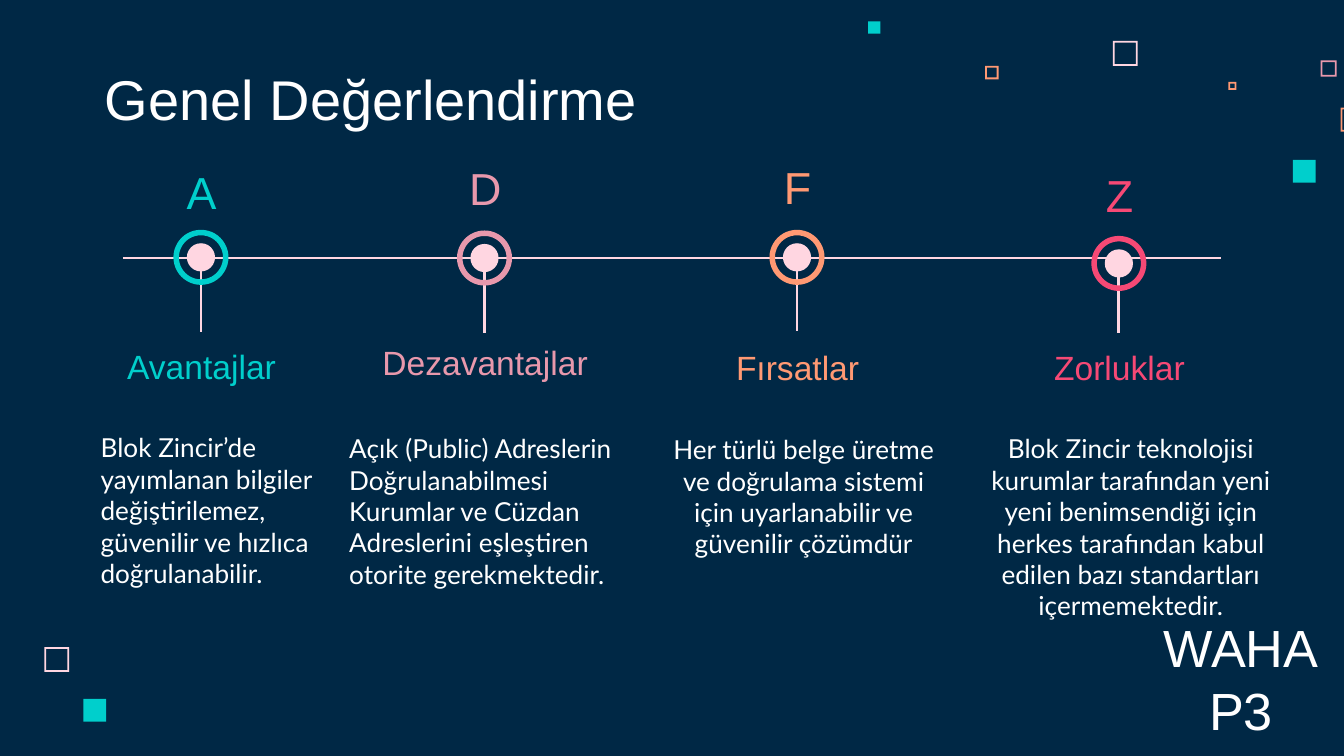
from collections import namedtuple

from lxml.etree import SubElement
from pptx import Presentation
from pptx.dml.color import RGBColor
from pptx.enum.shapes import MSO_CONNECTOR as LINE, MSO_SHAPE as SHAPE
from pptx.enum.text import MSO_ANCHOR as ANCHOR, MSO_AUTO_SIZE as AUTO, PP_ALIGN as ALIGN
from pptx.oxml.ns import qn
from pptx.util import Inches, Pt

CELL = 0.1  # inches; the slide is a grid of 100 columns by 56.25 rows
COLS, ROWS = 100, 56.25
NAVY, WHITE, PINK = "002845", "FFFFFF", "FFD6E1"
TEAL, ROSE, ORANGE, RED = "00CFCC", "E898AC", "FF9973", "F64975"
TOP, MIDDLE, BOTTOM = ANCHOR.TOP, ANCHOR.MIDDLE, ANCHOR.BOTTOM
LEFT, CENTER = ALIGN.LEFT, ALIGN.CENTER


def grid(*cells):
    return [Inches(c * CELL) for c in cells]


def rgb(color):
    return RGBColor.from_string(color)


def write(sp, text, size, color=WHITE, font="Arial", align=LEFT, anchor=TOP):
    tf = sp.text_frame
    tf.word_wrap = True
    tf.auto_size = AUTO.NONE
    tf.vertical_anchor = anchor
    tf.margin_left = tf.margin_right = tf.margin_top = tf.margin_bottom = Inches(0.1)
    p = tf.paragraphs[0]
    p.alignment = align
    p.space_before = Pt(0)
    r = p.add_run()
    r.text = text
    r.font.size, r.font.name = Pt(size), font
    r.font.color.rgb = rgb(color)


class Deck:
    """Holds the presentation style and the current slide."""

    def __init__(self):
        self.prs = Presentation()
        self.prs.slide_width, self.prs.slide_height = grid(COLS, ROWS)

    def add_slide(self):
        self.s = self.prs.slides.add_slide(self.prs.slide_layouts[5])
        fill = self.s.background.fill
        fill.solid()
        fill.fore_color.rgb = rgb(NAVY)

    def title(self, box, text, **fmt):
        sp = self.s.shapes.title
        sp.left, sp.top, sp.width, sp.height = grid(*box)
        write(sp, text, **fmt)

    def text(self, box, text, **fmt):
        write(self.s.shapes.add_textbox(*grid(*box)), text, **fmt)

    def shape(self, kind, box, color, thickness=None, parent=None):
        sp = (parent or self.s).shapes.add_shape(kind, *grid(*box))
        sp.shadow.inherit = False
        sp.fill.solid()
        sp.fill.fore_color.rgb = rgb(color)
        sp.line.fill.background()
        if thickness:
            sp.adjustments[0] = thickness

    def line(self, x1, y1, x2, y2):
        c = self.s.shapes.add_connector(LINE.STRAIGHT, *grid(x1, y1, x2, y2))
        c.line.color.rgb = rgb(PINK)
        c.line.width = Pt(1.5)
        SubElement(c._element.spPr, qn("a:effectLst"))

    def marker(self, x, y, color):
        """Dot inside a ring, centred on x, y."""
        group = self.s.shapes.add_group_shape()
        for kind, d, c, thickness in ((SHAPE.OVAL, 2.1, PINK, None),
                                      (SHAPE.DONUT, 4.1, color, 0.1)):
            self.shape(kind, (x - d / 2, y - d / 2, d, d), c, thickness, group)


# left, top, side, colour
FRAMES = [
    (82.8, 3.05, 1.85, PINK), (98.25, 4.5, 1.2, ROSE), (91.4, 6.1, 0.6, ORANGE),
    (99.75, 8, 1.8, ORANGE), (73.3, 4.9, 1, ORANGE), (3.3, 48.15, 1.85, PINK),
]
SQUARES = [(96.2, 11.9, 1.7), (64.6, 1.6, 0.9), (6.2, 52, 1.7)]

Topic = namedtuple("Topic", "letter name color x letter_y y stem_end "
                            "name_y name_anchor box align anchor body")
TOPICS = [
    Topic("A", "Avantajlar", TEAL, 14.95, 11.9, 19.15, 24.7, 24.75, TOP,
          (6.5, 32, 18.8, 12.8), LEFT, BOTTOM,
          "Blok Zincir’de yayımlanan bilgiler değiştirilemez, güvenilir ve "
          "hızlıca doğrulanabilir."),
    Topic("D", "Dezavantajlar", ROSE, 36.05, 11.6, 19.2, 24.8, 24.75, BOTTOM,
          (25, 31.2, 23.1, 13.7), LEFT, TOP,
          "Açık (Public) Adreslerin Doğrulanabilmesi Kurumlar ve Cüzdan "
          "Adreslerini eşleştiren otorite gerekmektedir."),
    Topic("F", "Fırsatlar", ORANGE, 59.3, 11.5, 19.15, 24.6, 24.8, TOP,
          (48.25, 32.7, 23.1, 9.9), CENTER, BOTTOM,
          "Her türlü belge üretme ve doğrulama sistemi için uyarlanabilir ve "
          "güvenilir çözümdür"),
    Topic("Z", "Zorluklar", RED, 83.25, 12.1, 19.6, 24.8, 25.1, BOTTOM,
          (71.35, 31.2, 25.6, 24.5), CENTER, TOP,
          "Blok Zincir teknolojisi kurumlar tarafından yeni yeni benimsendiği "
          "için herkes tarafından kabul edilen bazı standartları "
          "içermemektedir."),
]


def main():
    deck = Deck()
    deck.add_slide()
    for x, y, side, color in FRAMES:
        deck.shape(SHAPE.FRAME, (x, y, side, side), color, 0.13 / side)
    for x, y, side in SQUARES:
        deck.shape(SHAPE.RECTANGLE, (x, y, side, side), TEAL)

    deck.title((6.8, 4.5, 51.7, 6.3), "Genel Değerlendirme", size=30, anchor=BOTTOM)
    for t in TOPICS:
        deck.line(t.x, t.y, t.x, t.stem_end)
    deck.line(9.15, 19.2, 90.85, 19.2)
    for t in TOPICS:
        deck.marker(t.x, t.y, t.color)
        deck.text((t.x - 7, t.letter_y, 14.1, 4.7), t.letter, size=24,
                  color=t.color, align=CENTER, anchor=MIDDLE)
        deck.text((t.x - 10.25, t.name_y, 20.6, 4.7), t.name, size=18,
                  color=t.color, align=CENTER, anchor=t.name_anchor)
        deck.text(t.box, t.body, size=14, font="Lato", align=t.align, anchor=t.anchor)
    deck.text((84.55, 49.35, 15.6, 6.8), "WAHAP3", size=28, align=CENTER, anchor=BOTTOM)
    deck.prs.save("out.pptx")


if __name__ == "__main__":
    main()
